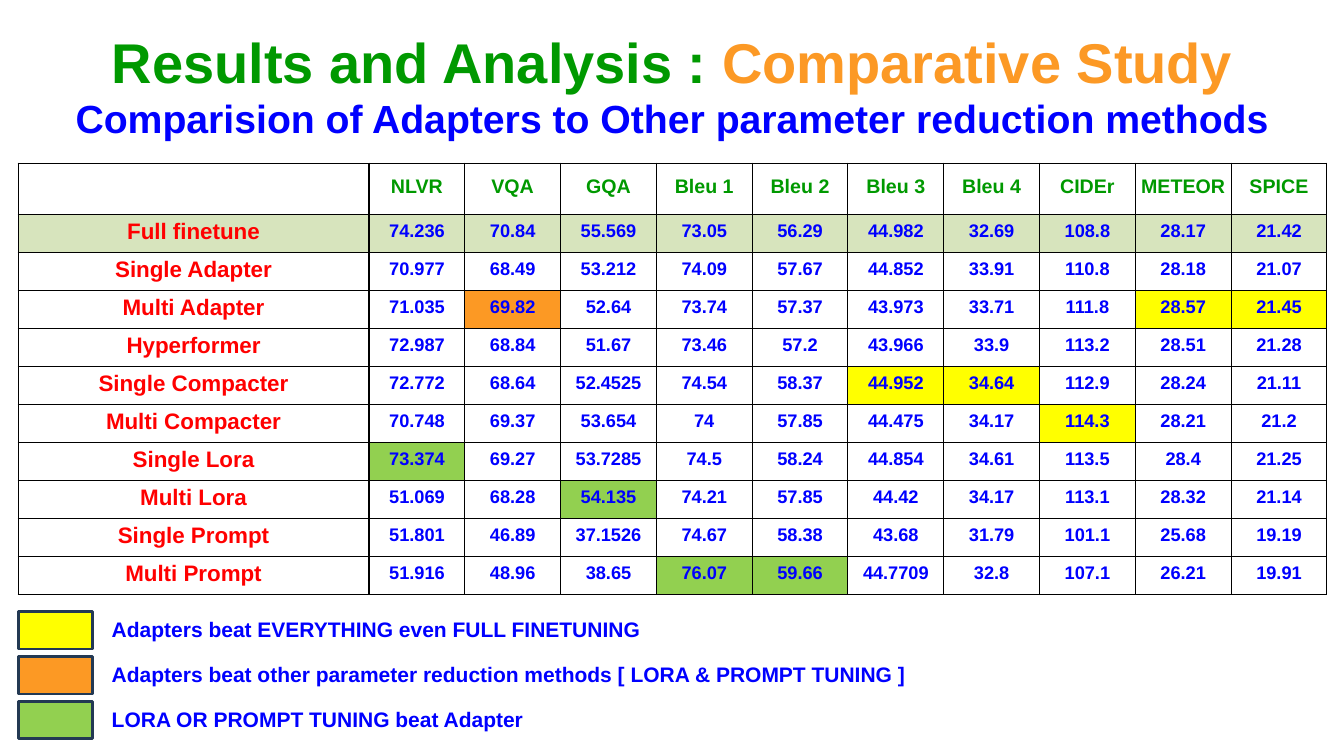
from lxml import etree
from pptx import Presentation
from pptx.dml.color import RGBColor
from pptx.enum.shapes import MSO_SHAPE
from pptx.enum.text import MSO_ANCHOR, MSO_AUTO_SIZE, PP_ALIGN
from pptx.oxml.ns import qn
from pptx.util import Inches, Pt

RECT = MSO_SHAPE.RECTANGLE
TOP, MIDDLE = MSO_ANCHOR.TOP, MSO_ANCHOR.MIDDLE
LEFT, CENTER = PP_ALIGN.LEFT, PP_ALIGN.CENTER
NO_FIT = MSO_AUTO_SIZE.NONE

COLORS = {
    "green": "009900", "title_orange": "FC9925", "blue": "0000FF", "red": "FF0000",
    "baseline": "D7E4BD", "yellow": "FFFF00", "orange": "FC9924", "lime": "92D050",
    "swatch_line": "233953", "border": "000000",
}
TITLE = [
    (40, [("Results and Analysis : ", "green"), ("Comparative Study", "title_orange")]),
    (28, [("Comparision of Adapters to Other parameter reduction methods", "blue")]),
]
METRICS = ["NLVR", "VQA", "GQA", "Bleu 1", "Bleu 2", "Bleu 3", "Bleu 4",
           "CIDEr", "METEOR", "SPICE"]
RESULTS = [
    ("Full finetune", "74.236 70.84 55.569 73.05 56.29 44.982 32.69 108.8 28.17 21.42"),
    ("Single Adapter", "70.977 68.49 53.212 74.09 57.67 44.852 33.91 110.8 28.18 21.07"),
    ("Multi Adapter", "71.035 69.82 52.64 73.74 57.37 43.973 33.71 111.8 28.57 21.45"),
    ("Hyperformer", "72.987 68.84 51.67 73.46 57.2 43.966 33.9 113.2 28.51 21.28"),
    ("Single Compacter", "72.772 68.64 52.4525 74.54 58.37 44.952 34.64 112.9 28.24 21.11"),
    ("Multi Compacter", "70.748 69.37 53.654 74 57.85 44.475 34.17 114.3 28.21 21.2"),
    ("Single Lora", "73.374 69.27 53.7285 74.5 58.24 44.854 34.61 113.5 28.4 21.25"),
    ("Multi Lora", "51.069 68.28 54.135 74.21 57.85 44.42 34.17 113.1 28.32 21.14"),
    ("Single Prompt", "51.801 46.89 37.1526 74.67 58.38 43.68 31.79 101.1 25.68 19.19"),
    ("Multi Prompt", "51.916 48.96 38.65 76.07 59.66 44.7709 32.8 107.1 26.21 19.91"),
]
HIGHLIGHTS = {
    ("Multi Adapter", "VQA"): "orange",
    ("Multi Adapter", "METEOR"): "yellow",
    ("Multi Adapter", "SPICE"): "yellow",
    ("Single Compacter", "Bleu 3"): "yellow",
    ("Single Compacter", "Bleu 4"): "yellow",
    ("Multi Compacter", "CIDEr"): "yellow",
    ("Single Lora", "NLVR"): "lime",
    ("Multi Lora", "GQA"): "lime",
    ("Multi Prompt", "Bleu 1"): "lime",
    ("Multi Prompt", "Bleu 2"): "lime",
}
LEGEND = [
    ("yellow", "Adapters beat EVERYTHING even FULL FINETUNING"),
    ("orange", "Adapters beat other parameter reduction methods [ LORA & PROMPT TUNING ]"),
    ("lime", "LORA OR PROMPT TUNING beat Adapter"),
]
MARGIN = 0.18
TABLE_TOP, TABLE_W, TABLE_H = 1.62, 12.98, 4.28
HEADER_H, METRIC_W = 0.51, 0.95
LEGEND_TOP, LEGEND_STEP = 6.07, 0.445


def rgb(name):
    return RGBColor.from_string(COLORS[name])


def style(p, size, color=None, align=LEFT):
    p.alignment = align
    p.font.name, p.font.size, p.font.bold = "Arial", Pt(size), True
    if color:
        p.font.color.rgb = rgb(color)


def add_title(s):
    title = s.shapes.title
    title.left, title.top = 0, Inches(0.22)
    title.width, title.height = Inches(13.33), Inches(1.25)
    tf = title.text_frame
    tf.word_wrap, tf.auto_size, tf.vertical_anchor = True, NO_FIT, TOP
    for i, (size, runs) in enumerate(TITLE):
        p = tf.add_paragraph() if i else tf.paragraphs[0]
        style(p, size, align=CENTER)
        for text, color in runs:
            r = p.add_run()
            r.text = text
            r.font.color.rgb = rgb(color)


def add_borders(cell):
    tcPr = cell._tc.get_or_add_tcPr()
    for i, side in enumerate(("a:lnL", "a:lnR", "a:lnT", "a:lnB")):
        ln = etree.Element(qn(side), w=str(Pt(0.92)))
        fill = etree.SubElement(ln, qn("a:solidFill"))
        etree.SubElement(fill, qn("a:srgbClr"), val=COLORS["border"])
        tcPr.insert(i, ln)


def fill_cell(cell, text, size, color, fill):
    cell.margin_left = cell.margin_right = cell.margin_top = Inches(0.01)
    cell.margin_bottom = Inches(0.05)
    cell.vertical_anchor = MIDDLE
    if fill:
        cell.fill.solid()
        cell.fill.fore_color.rgb = rgb(fill)
    else:
        cell.fill.background()
    add_borders(cell)
    cell.text = text
    style(cell.text_frame.paragraphs[0], size, color, CENTER)


def add_results(s):
    rows = [("", METRICS)] + [(name, values.split()) for name, values in RESULTS]
    table = s.shapes.add_table(len(rows), len(METRICS) + 1, Inches(MARGIN), Inches(TABLE_TOP),
                               Inches(TABLE_W), Inches(TABLE_H)).table
    table.first_row = table.horz_banding = False
    for c, column in enumerate(table.columns):
        column.width = Inches(METRIC_W if c else TABLE_W - METRIC_W * len(METRICS))
    for i, (name, values) in enumerate(rows):
        table.rows[i].height = Inches((TABLE_H - HEADER_H) / len(RESULTS) if i else HEADER_H)
        row_fill = "baseline" if name == "Full finetune" else None
        size, color = (13, "blue") if i else (14, "green")
        fill_cell(table.cell(i, 0), name, 16, "red", row_fill)
        for j, (metric, value) in enumerate(zip(METRICS, values), 1):
            fill = HIGHLIGHTS.get((name, metric), row_fill)
            fill_cell(table.cell(i, j), value, size, color, fill)


def add_legend(s):
    for i, (color, text) in enumerate(LEGEND):
        top = Inches(LEGEND_TOP + i * LEGEND_STEP)
        sp = s.shapes.add_shape(RECT, Inches(MARGIN), top, Inches(0.74), Inches(0.37))
        sp.shadow.inherit = False
        sp.fill.solid()
        sp.fill.fore_color.rgb = rgb(color)
        sp.line.color.rgb = rgb("swatch_line")
        sp.line.width = Pt(2)
        tf = s.shapes.add_textbox(Inches(1.01), top, Inches(8.98), Inches(0.35)).text_frame
        tf.word_wrap = True
        tf.text = text
        style(tf.paragraphs[0], 15, "blue")


def main():
    prs = Presentation()
    prs.slide_width, prs.slide_height = Inches(13.33), Inches(7.5)
    s = prs.slides.add_slide(prs.slide_layouts[5])
    add_title(s)
    add_results(s)
    add_legend(s)
    prs.save("out.pptx")


if __name__ == "__main__":
    main()
